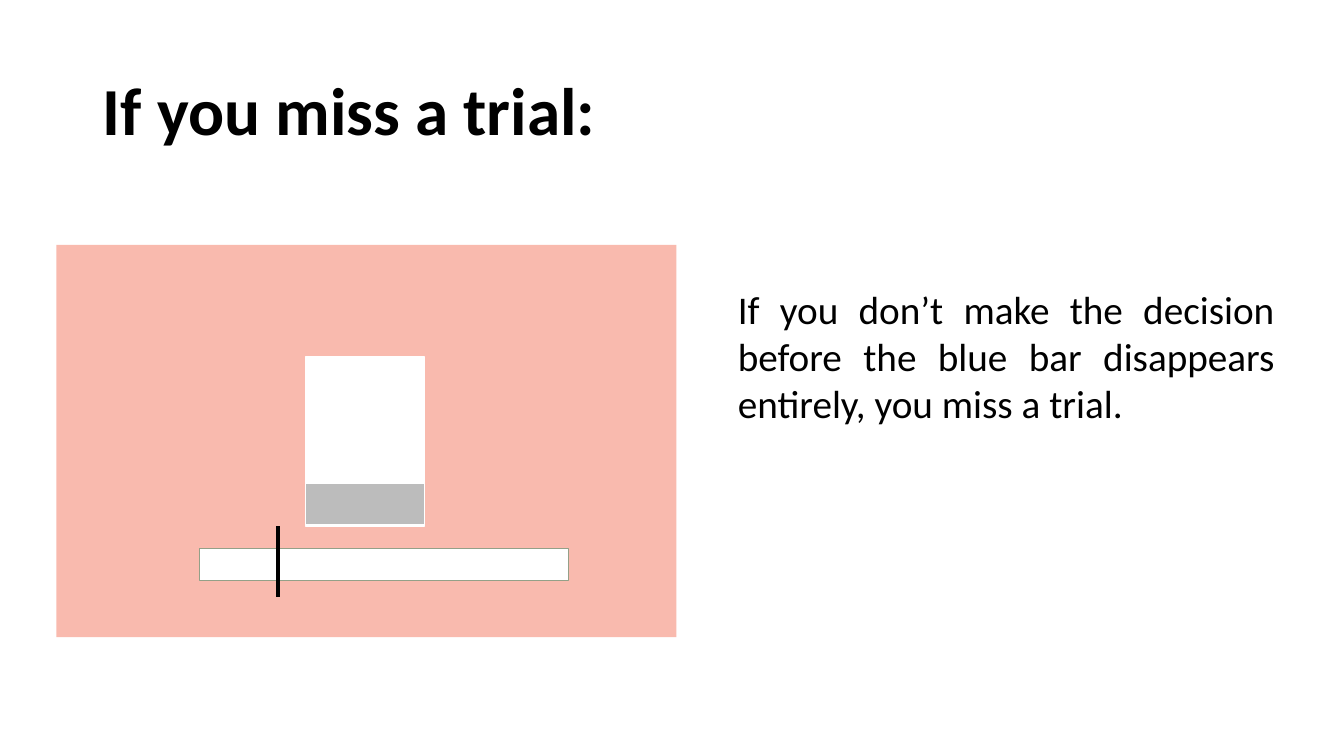
from dataclasses import dataclass

from pptx import Presentation
from pptx.dml.color import RGBColor
from pptx.enum.shapes import MSO_CONNECTOR, MSO_SHAPE
from pptx.enum.text import MSO_ANCHOR, MSO_AUTO_SIZE, PP_ALIGN
from pptx.oxml.ns import qn
from pptx.util import Inches, Pt
from lxml import etree


@dataclass(frozen=True)
class Theme:
    font: str = "Calibri"
    title_size: int = 48
    body_size: int = 28
    black: RGBColor = RGBColor(0x00, 0x00, 0x00)
    white: RGBColor = RGBColor(0xFF, 0xFF, 0xFF)
    salmon: RGBColor = RGBColor(0xF9, 0xBA, 0xAE)
    grey: RGBColor = RGBColor(0xBC, 0xBC, 0xBC)
    sage: RGBColor = RGBColor(0x94, 0xA0, 0x88)


theme = Theme()


def add_run(p, text, size, bold=False):
    r = p.add_run()
    r.text = text
    r.font.name = theme.font
    r.font.size = Pt(size)
    r.font.bold = bold
    r.font.color.rgb = theme.black


prs = Presentation()
prs.slide_width, prs.slide_height = Inches(13.33), Inches(7.5)
s = prs.slides.add_slide(prs.slide_layouts[5])

# Title
title = s.shapes.title
title.left, title.top = Inches(0.92), Inches(0.4)
title.width, title.height = Inches(11.5), Inches(1.45)
tf = title.text_frame
tf.vertical_anchor = MSO_ANCHOR.MIDDLE
p = tf.paragraphs[0]
p.alignment = PP_ALIGN.LEFT
p.line_spacing = 0.9
add_run(p, "If you miss a trial:", theme.title_size, bold=True)

# Explanation
note = s.shapes.add_textbox(Inches(7.22), Inches(2.78), Inches(5.52), Inches(1.51))
tf = note.text_frame
tf.word_wrap = True
tf.auto_size = MSO_AUTO_SIZE.SHAPE_TO_FIT_TEXT
p = tf.paragraphs[0]
p.alignment = PP_ALIGN.JUSTIFY
add_run(p, "If you don’t make the decision before the blue bar disappears entirely, "
        "you miss a trial.", theme.body_size)

# Trial screen: background, container, time bar, container level
screen = s.shapes.add_group_shape()
screen_parts = [
    (0.56, 2.43, 6.15, 3.89, theme.salmon, None),
    (3.03, 3.54, 1.18, 1.68, theme.white, theme.white),
    (1.98, 5.44, 3.66, 0.32, theme.white, theme.sage),
    (3.03, 4.79, 1.18, 0.42, theme.grey, theme.white),
]
for left, top, width, height, fill, line in screen_parts:
    sp = screen.shapes.add_shape(MSO_SHAPE.RECTANGLE, Inches(left), Inches(top),
                                 Inches(width), Inches(height))
    sp.shadow.inherit = False
    sp.fill.solid()
    sp.fill.fore_color.rgb = fill
    if line is None:
        sp.line.fill.background()
    else:
        sp.line.color.rgb = line
        sp.line.width = Pt(1)

# Marker across the time bar
marker = s.shapes.add_connector(MSO_CONNECTOR.STRAIGHT, Inches(2.76), Inches(5.22),
                                Inches(2.76), Inches(5.92))
marker.line.color.rgb = theme.black
marker.line.width = Pt(3)
etree.SubElement(marker._element.spPr, qn("a:effectLst"))

prs.save("out.pptx")
